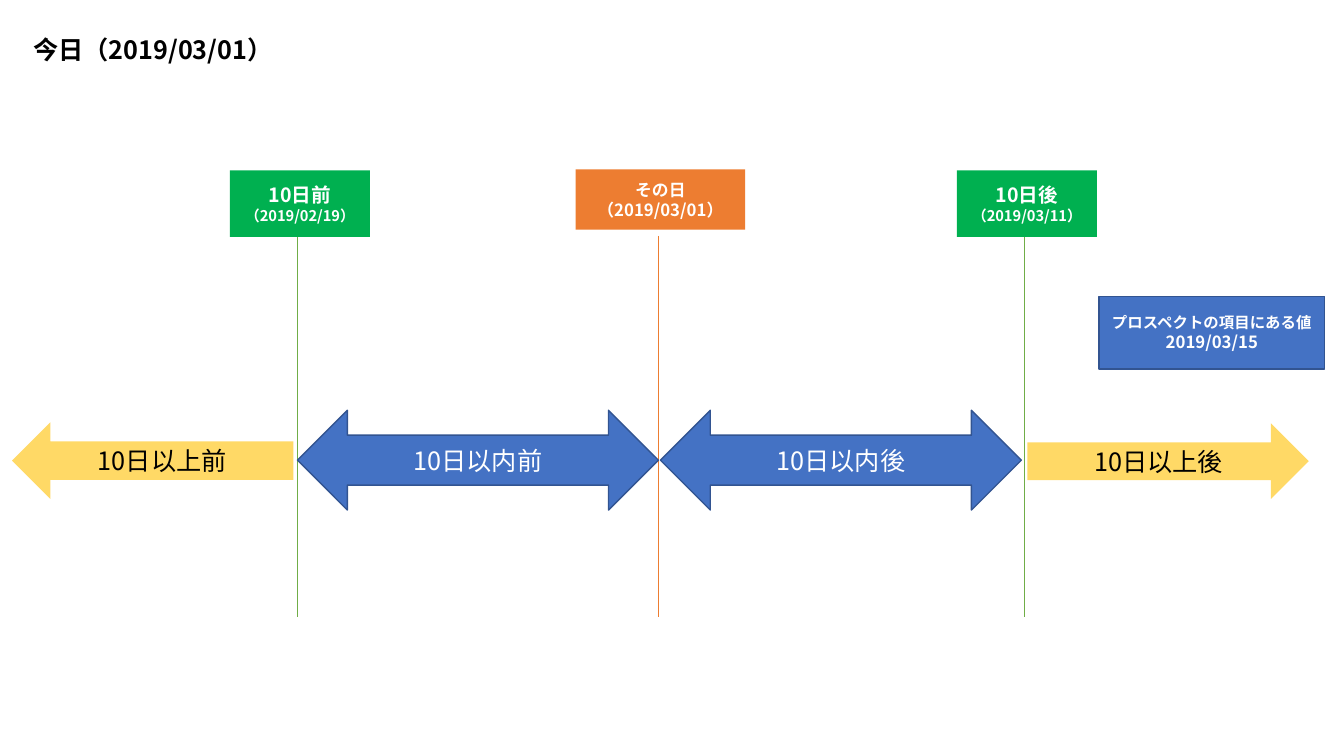
from pptx import Presentation
from pptx.dml.color import RGBColor
from pptx.enum.shapes import MSO_CONNECTOR, MSO_SHAPE
from pptx.enum.text import MSO_ANCHOR, MSO_AUTO_SIZE, PP_ALIGN
from pptx.oxml.ns import qn
from pptx.util import Inches, Pt
from lxml.etree import SubElement

FONT = "Noto Sans CJK JP"
COLORS = {
    "blue": "4472C4", "navy": "325491", "orange": "ED7D31", "green": "00B050",
    "leaf": "70AD47", "yellow": "FFD966", "white": "FFFFFF", "black": "000000",
}


def color(name):
    return RGBColor.from_string(COLORS[name])


def write(shape, lines, ink, bold, align):
    """Fill a shape with one paragraph per (text, size) pair."""
    frame = shape.text_frame
    frame.word_wrap = True
    for i, (text, size) in enumerate(lines):
        para = frame.add_paragraph() if i else frame.paragraphs[0]
        para.alignment = align
        run = para.add_run()
        run.text = text
        font = run.font
        font.name, font.size, font.bold = FONT, Pt(size), bold
        font.color.rgb = color(ink)
        SubElement(font._element, qn("a:ea"), typeface=FONT)


prs = Presentation()
prs.slide_width, prs.slide_height = Inches(13.33), Inches(7.5)
slide = prs.slides.add_slide(prs.slide_layouts[5])
shapes = slide.shapes

# Day markers
for x, tone in [(6.53, "orange"), (2.95, "leaf"), (10.16, "leaf")]:
    line = shapes.add_connector(MSO_CONNECTOR.STRAIGHT, Inches(x), Inches(2.34),
                                Inches(x), Inches(6.12))
    line.line.color.rgb = color(tone)
    line.line.width = Pt(0.5)
    SubElement(line._element.spPr, qn("a:effectLst"))

# Date boxes and period arrows: kind, place, fill, edge, ink, bold, lines
RECT, BOTH = MSO_SHAPE.RECTANGLE, MSO_SHAPE.LEFT_RIGHT_ARROW
items = [
    (RECT, (10.9, 2.94, 2.24, 0.72), "blue", "navy", "white", True,
     [("プロスペクトの項目にある値", 11), ("2019/03/15", 12)]),
    (BOTH, (2.95, 4.07, 3.58, 0.99), "blue", "navy", "white", False,
     [("10日以内前", 18)]),
    (BOTH, (6.55, 4.07, 3.58, 0.99), "blue", "navy", "white", False,
     [("10日以内後", 18)]),
    (RECT, (5.71, 1.68, 1.68, 0.6), "orange", None, "white", True,
     [("その日", 12), ("（2019/03/01）", 12)]),
    (RECT, (2.28, 1.69, 1.39, 0.66), "green", None, "white", True,
     [("10日前", 14), ("（2019/02/19）", 10.5)]),
    (MSO_SHAPE.LEFT_ARROW, (0.12, 4.19, 2.79, 0.76), "yellow", None, "black", False,
     [("10日以上前", 18)]),
    (MSO_SHAPE.RIGHT_ARROW, (10.19, 4.2, 2.79, 0.75), "yellow", None, "black", False,
     [("10日以上後", 18)]),
    (RECT, (9.49, 1.69, 1.39, 0.66), "green", None, "white", True,
     [("10日後", 14), ("（2019/03/11）", 10.5)]),
]
for kind, place, fill, edge, ink, bold, lines in items:
    shape = shapes.add_shape(kind, *map(Inches, place))
    shape.shadow.inherit = False
    shape.fill.solid()
    shape.fill.fore_color.rgb = color(fill)
    if edge:
        shape.line.color.rgb = color(edge)
        shape.line.width = Pt(1)
    else:
        shape.line.fill.background()
    shape.text_frame.vertical_anchor = MSO_ANCHOR.MIDDLE
    write(shape, lines, ink, bold, PP_ALIGN.CENTER)

# Today's date
title = shapes.title
title.left, title.top = Inches(0.23), Inches(0.29)
title.width, title.height = Inches(2.63), Inches(0.4)
title.text_frame.vertical_anchor = MSO_ANCHOR.TOP
title.text_frame.auto_size = MSO_AUTO_SIZE.SHAPE_TO_FIT_TEXT
write(title, [("今日（2019/03/01）", 18)], "black", True, PP_ALIGN.LEFT)

prs.save("out.pptx")
